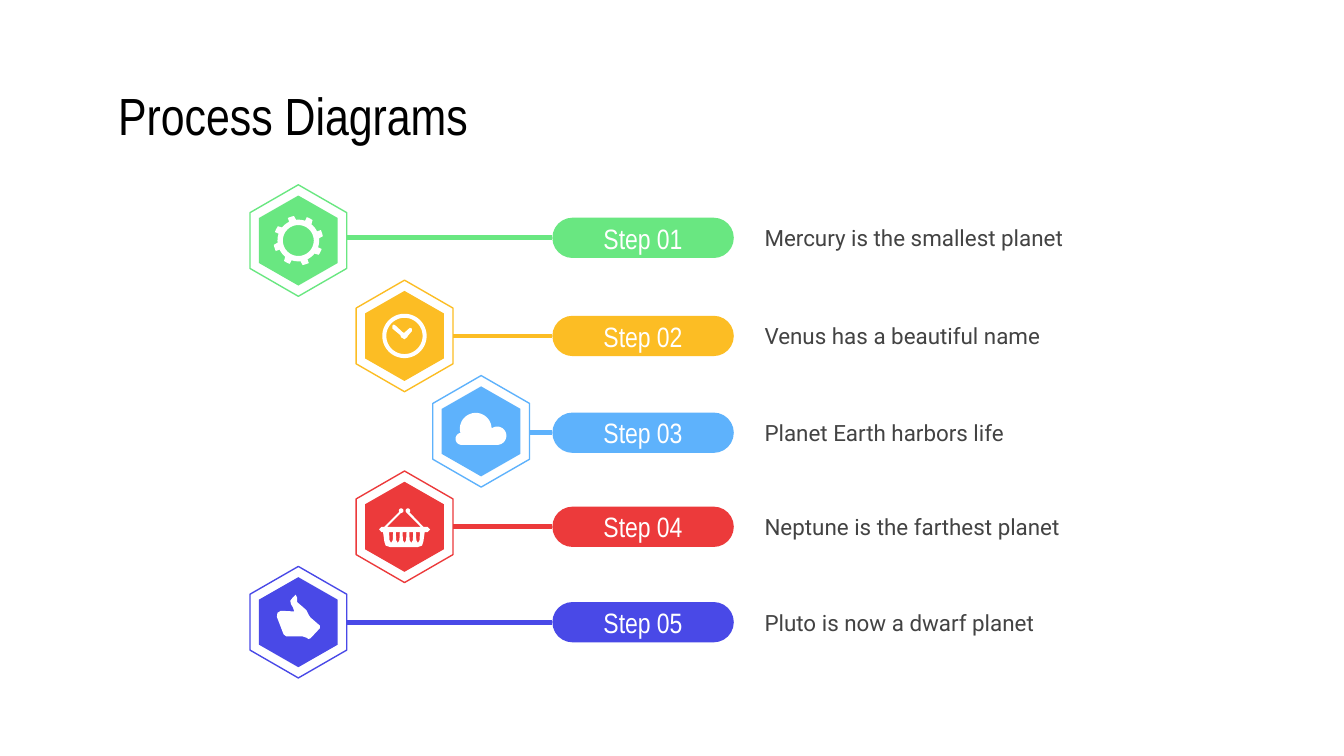
"""Build a slide with five process steps, each with a hexagon icon, a label and a note."""
from math import cos, radians, sin
from typing import NamedTuple, Optional

from lxml.etree import SubElement
from pptx import Presentation
from pptx.dml.color import RGBColor
from pptx.enum.shapes import MSO_CONNECTOR as Link, MSO_SHAPE as Preset
from pptx.enum.text import MSO_ANCHOR as Anchor, PP_ALIGN as Align
from pptx.oxml.ns import qn
from pptx.util import Inches, Pt

WHITE = RGBColor(0xFF, 0xFF, 0xFF)
BLACK = RGBColor(0x00, 0x00, 0x00)
GRAY = RGBColor(0x43, 0x43, 0x43)
GREEN = RGBColor(0x69, 0xE7, 0x81)
AMBER = RGBColor(0xFC, 0xBD, 0x24)
BLUE = RGBColor(0x5E, 0xB2, 0xFC)
RED = RGBColor(0xEC, 0x3A, 0x3B)
INDIGO = RGBColor(0x49, 0x49, 0xE7)

NARROW = "Arial Narrow"
ROBOTO = "Roboto"
UNIT = 0.01
TOP, PITCH = 1.79, 0.71
PILL_X, PILL_W, PILL_H = 4.11, 1.35, 0.3
NOTE_X, NOTE_W, NOTE_H = 5.59, 2.55, 0.33

Points = list[tuple[float, float]]
Icon = list[Points]


class Step(NamedTuple):
    label: str
    note: str
    color: RGBColor
    hub: float
    mid: float
    icon: Icon


def arc(x: float, y: float, size: float, start: int = 0, end: int = 360) -> Points:
    return [(x + size * cos(radians(a)), y + size * sin(radians(a)))
            for a in range(start, end + 1, 5)]


def hexagon(wide: float, high: float) -> Icon:
    half = high / 2
    return [[(0, -high), (-wide, -half), (-wide, half),
             (0, high), (wide, half), (wide, -half)]]


def gear() -> Icon:
    rim: Points = []
    for turn in range(-106, 254, 45):
        rim += arc(0, 0, 18.5, turn - 9, turn + 9)
        rim += arc(0, 0, 15.5, turn + 10, turn + 35)
    return [rim, arc(0, 0, 11.5)]


def clock() -> Icon:
    hands = [(-8, -8.5), (-9, -7.5), (-9, -5.5), (-3, -0.5), (-2.5, 1), (0, 2.5),
             (2, 1), (2.5, 0), (5.5, -3.5), (5.5, -5.5), (4, -6), (0, -2.5),
             (-1, -2.5), (-7, -8)]
    return [arc(0, 0, 16.5), arc(0, 0, 13.5), hands]


def cloud() -> Icon:
    return [arc(-14.5, 5.5, 4.5, 90, 260) + arc(-4, -2, 11.8, 170, 360)
            + arc(12, 3.2, 6.8, 230, 450)]


def basket() -> Icon:
    body = [(-17, 0), (-15, 0), (-4, -11), *arc(-2.5, -12, 1.7, 130, 410),
            (-3, -10), (-13, 0), (12, 0), (2, -10), *arc(2.5, -12, 1.7, 130, 410),
            (3.5, -11), (14, 0), (17, 0), (19, 2), (17, 4), (15, 4), (14, 11),
            (13, 14), (10, 15), (-11, 15), (-14, 14), (-15, 11), (-16, 4),
            (-17, 4), (-19, 2)]
    slots = [[(x - 1.5, 4), (x + 1.5, 4), (x + 1.2, 10), (x, 12), (x - 1.2, 10)]
             for x in range(-10, 11, 5)]
    return [body, *slots]


def thumb() -> Icon:
    return [[(-2, -20.5), (-4, -18.5), (-6, -16), (-5.5, -13.5), (-4, -11), (-3, -8),
             (-13, -8.5), (-15.5, -7), (-16, -4), (-11, 9), (-9, 10.5), (3, 10.5),
             (6, 11.5), (7.5, 12.5), (9, 12), (16, 4.5), (16, 2.5), (9, -3.5),
             (8, -5), (6, -9), (2, -12.5), (-1, -15), (-1, -18.5)]]


STEPS = [
    Step("Step 01", "Mercury is the smallest planet", GREEN, 2.22, 1.77, gear()),
    Step("Step 02", "Venus has a beautiful name", AMBER, 3.01, 2.5, clock()),
    Step("Step 03", "Planet Earth harbors life", BLUE, 3.58, 3.22, cloud()),
    Step("Step 04", "Neptune is the farthest planet", RED, 3.01, 3.92, basket()),
    Step("Step 05", "Pluto is now a dwarf planet", INDIGO, 2.22, 4.63, thumb()),
]


def write(shape, text: str, font: str, size: float, color: RGBColor,
          align: Align = Align.LEFT) -> None:
    frame = shape.text_frame
    frame.text = text
    frame.word_wrap = True
    frame.vertical_anchor = Anchor.MIDDLE
    frame.margin_left = frame.margin_right = Inches(0.1)
    frame.margin_top = frame.margin_bottom = Inches(0.1)
    line = frame.paragraphs[0]
    line.alignment = align
    face = line.runs[0].font
    face.name, face.size = font, Pt(size)
    face.color.rgb = color


def paint(shape, fill: RGBColor, edge: Optional[RGBColor] = None) -> None:
    shape.shadow.inherit = False
    shape.fill.solid()
    shape.fill.fore_color.rgb = fill
    if edge is None:
        shape.line.fill.background()
    else:
        shape.line.color.rgb = edge
        shape.line.width = Pt(0.75)


def trace(shapes, icon: Icon, x: float, y: float, fill: RGBColor,
          edge: Optional[RGBColor] = None) -> None:
    loops = [[(Inches(x + a * UNIT), Inches(y + b * UNIT)) for a, b in loop]
             for loop in icon]
    pen = shapes.build_freeform(*loops[0][0], scale=1.0)
    pen.add_line_segments(loops[0][1:], close=True)
    for loop in loops[1:]:
        pen.move_to(*loop[0])
        pen.add_line_segments(loop[1:], close=True)
    paint(pen.convert_to_shape(), fill, edge)


def join(shapes, start: float, end: float, y: float, color: RGBColor) -> None:
    line = shapes.add_connector(Link.STRAIGHT, Inches(start), Inches(y),
                                Inches(end), Inches(y))
    line.line.color.rgb = color
    line.line.width = Pt(2.65)
    SubElement(line._element.spPr, qn("a:effectLst"))


def draw(slide, step: Step, hub_y: float) -> None:
    shapes = slide.shapes.add_group_shape().shapes
    join(shapes, step.hub + 0.3, PILL_X, step.mid, step.color)
    trace(shapes, hexagon(36, 41.5), step.hub, hub_y, WHITE, step.color)
    trace(shapes, hexagon(29.3, 33.5), step.hub, hub_y, step.color)
    trace(shapes, step.icon, step.hub, hub_y, WHITE)
    pill = shapes.add_shape(Preset.ROUNDED_RECTANGLE, Inches(PILL_X),
                            Inches(step.mid - PILL_H / 2), Inches(PILL_W), Inches(PILL_H))
    pill.adjustments[0] = 0.5
    paint(pill, step.color)
    write(pill, step.label, NARROW, 15, WHITE, Align.CENTER)
    note = shapes.add_textbox(Inches(NOTE_X), Inches(step.mid - NOTE_H / 2),
                              Inches(NOTE_W), Inches(NOTE_H))
    write(note, step.note, ROBOTO, 12, GRAY)


def main() -> None:
    deck = Presentation()
    deck.slide_width = Inches(10)
    deck.slide_height = Inches(10 * 9 / 16)
    slide = deck.slides.add_slide(deck.slide_layouts[6])
    title = slide.shapes.add_textbox(Inches(0.78), Inches(0.59), Inches(8.45), Inches(0.53))
    write(title, "Process Diagrams", NARROW, 28, BLACK)
    for row, step in enumerate(STEPS):
        draw(slide, step, TOP + row * PITCH)
    deck.save("out.pptx")


if __name__ == "__main__":
    main()
